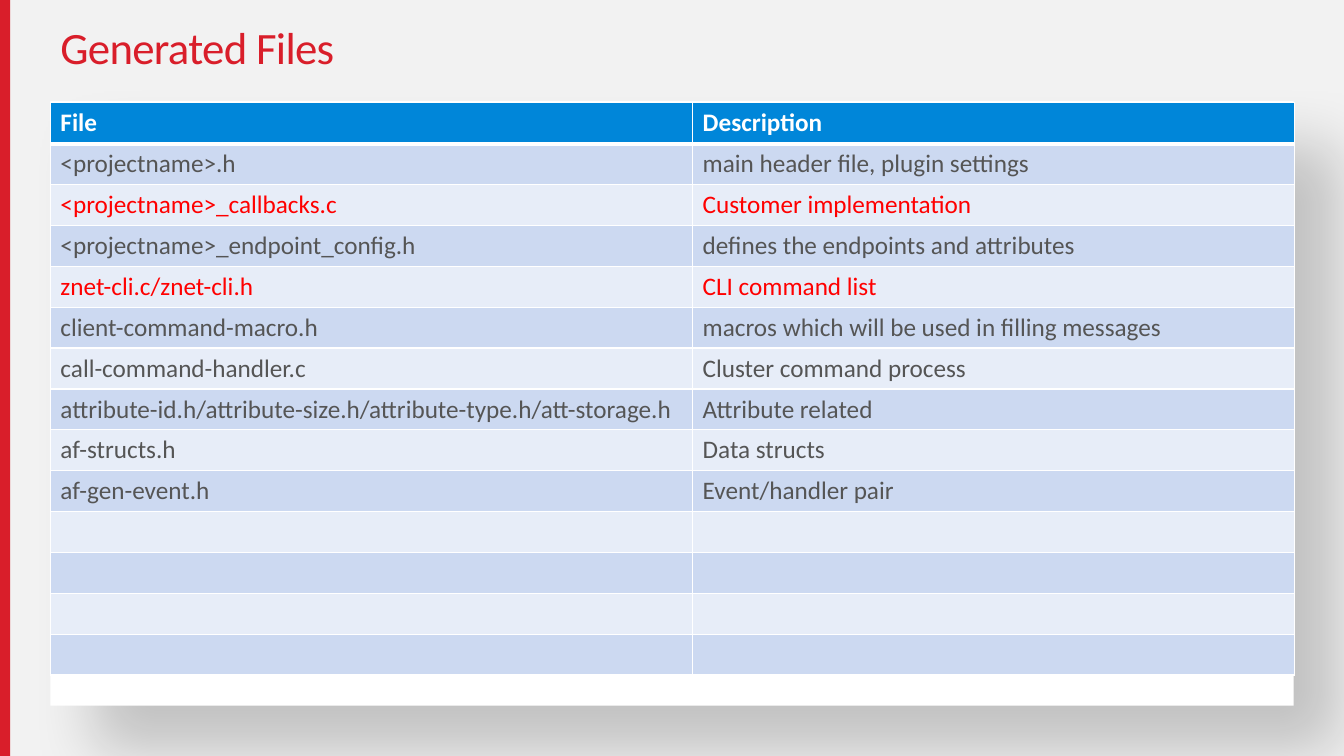
from lxml.etree import SubElement
from pptx import Presentation
from pptx.dml.color import RGBColor
from pptx.enum.shapes import MSO_SHAPE
from pptx.enum.text import MSO_ANCHOR
from pptx.oxml.ns import qn
from pptx.util import Inches, Pt

FONT = "Calibri"
RED = "D91E2A"
WHITE = "FFFFFF"
GREY = "555555"
HIGHLIGHT = "FF0000"
HEADER_BLUE = "0086D9"
BAND_COLORS = ("CCD9F1", "E7EDF8")

HEADER = ("File", "Description")
FILES = [
    ("<projectname>.h", "main header file, plugin settings"),
    ("<projectname>_callbacks.c", "Customer implementation"),
    ("<projectname>_endpoint_config.h", "defines the endpoints and attributes"),
    ("znet-cli.c/znet-cli.h", "CLI command list"),
    ("client-command-macro.h", "macros which will be used in filling messages"),
    ("call-command-handler.c", "Cluster command process"),
    ("attribute-id.h/attribute-size.h/attribute-type.h/att-storage.h", "Attribute related"),
    ("af-structs.h", "Data structs"),
    ("af-gen-event.h", "Event/handler pair"),
]
HIGHLIGHTED_FILES = ("<projectname>_callbacks.c", "znet-cli.c/znet-cli.h")
EMPTY_ROWS = 4
COLUMN_WIDTHS = (6.37, 5.97)


def color(hex_value):
    return RGBColor.from_string(hex_value)


def format_font(font, size, hex_value, bold=False):
    font.name = FONT
    font.size = Pt(size)
    font.bold = bold
    font.color.rgb = color(hex_value)


def add_rectangle(slide, left, top, width, height, fill):
    shape = slide.shapes.add_shape(
        MSO_SHAPE.RECTANGLE, Inches(left), Inches(top), Inches(width), Inches(height))
    shape.shadow.inherit = False
    shape.fill.solid()
    shape.fill.fore_color.rgb = color(fill)
    shape.line.fill.background()
    return shape


def add_soft_shadow(shape):
    """Cast a wide black shadow to the lower right."""
    effects = shape._element.spPr.find(qn("a:effectLst"))
    shadow = SubElement(effects, qn("a:outerShdw"), blurRad=str(Pt(45)),
                        dist=str(Pt(45)), dir=str(45 * 60000),
                        algn="tl", rotWithShape="0")
    black = SubElement(shadow, qn("a:srgbClr"), val="000000")
    SubElement(black, qn("a:alpha"), val="20000")


def add_title(slide, text):
    box = slide.shapes.add_textbox(Inches(0.5), 0, Inches(12.33), Inches(1))
    text_frame = box.text_frame
    text_frame.word_wrap = True
    text_frame.vertical_anchor = MSO_ANCHOR.MIDDLE
    text_frame.text = text
    paragraph = text_frame.paragraphs[0]
    paragraph.line_spacing = 0.9
    run = paragraph.runs[0]
    format_font(run.font, 32, RED)
    run.font._element.set("spc", "-50")


def set_borders(cell, bottom_width):
    properties = cell._tc.get_or_add_tcPr()
    for side, width in (("L", 1), ("R", 1), ("T", 1), ("B", bottom_width)):
        line = SubElement(properties, qn(f"a:ln{side}"), w=str(Pt(width)))
        fill = SubElement(line, qn("a:solidFill"))
        SubElement(fill, qn("a:srgbClr"), val=WHITE)


def fill_row(cells, texts, fill, text_color, bold=False, bottom_width=1):
    for cell, text in zip(cells, texts):
        set_borders(cell, bottom_width)
        cell.fill.solid()
        cell.fill.fore_color.rgb = color(fill)
        cell.text = text
        paragraph = cell.text_frame.paragraphs[0]
        for font in [paragraph.font] + [run.font for run in paragraph.runs]:
            format_font(font, 18, text_color, bold)


def add_file_table(slide):
    body_rows = FILES + [("", "")] * EMPTY_ROWS
    table = slide.shapes.add_table(
        len(body_rows) + 1, len(HEADER),
        Inches(0.5), Inches(1.02), Inches(12.33), Inches(5.68)).table
    for column, width in zip(table.columns, COLUMN_WIDTHS):
        column.width = Inches(width)
    header_row, *file_rows = table.rows
    fill_row(header_row.cells, HEADER, HEADER_BLUE, WHITE, bold=True, bottom_width=3)
    for index, (row, texts) in enumerate(zip(file_rows, body_rows)):
        text_color = HIGHLIGHT if texts[0] in HIGHLIGHTED_FILES else GREY
        fill_row(row.cells, texts, BAND_COLORS[index % 2], text_color)
    for cell in file_rows[0].cells:
        top_line = cell._tc.tcPr.find(qn("a:lnT"))
        top_line.set("w", str(Pt(3)))


def main():
    presentation = Presentation()
    presentation.slide_width = Inches(13.33)
    presentation.slide_height = Inches(7.5)
    slide = presentation.slides.add_slide(presentation.slide_layouts[6])
    slide.background.fill.solid()
    slide.background.fill.fore_color.rgb = color("F2F2F2")

    add_rectangle(slide, 0, 0, 0.1, 7.5, RED)
    panel = add_rectangle(slide, 0.5, 1, 12.33, 6, WHITE)
    add_soft_shadow(panel)
    add_title(slide, "Generated Files")
    add_file_table(slide)
    presentation.save("out.pptx")


if __name__ == "__main__":
    main()
